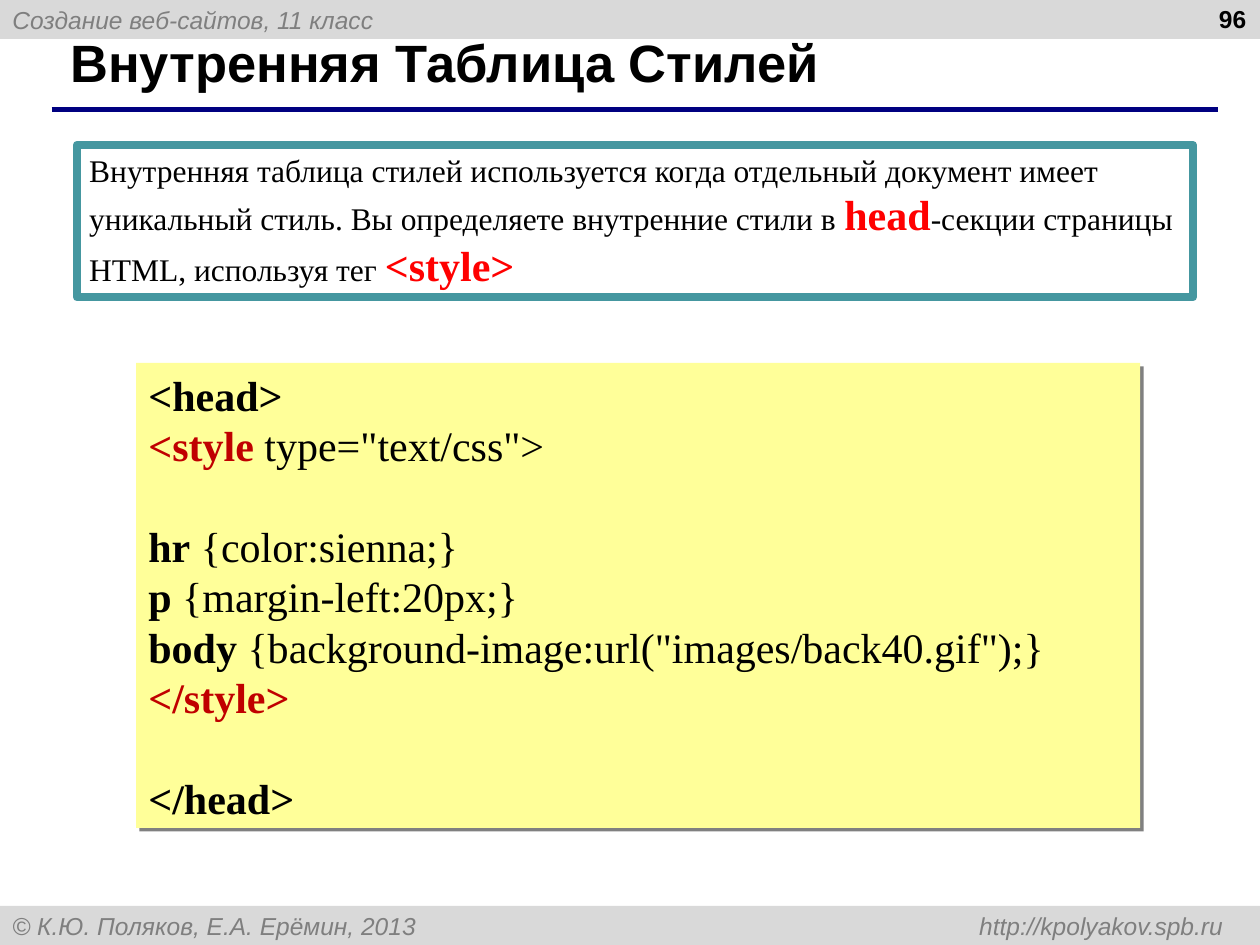
from lxml.etree import SubElement
from pptx import Presentation
from pptx.dml.color import RGBColor
from pptx.enum.shapes import MSO_CONNECTOR, MSO_SHAPE
from pptx.enum.text import MSO_ANCHOR, PP_ALIGN
from pptx.oxml.ns import qn
from pptx.util import Inches, Pt

COLORS = {
    "bar": "D9D9D9",
    "muted": "7F7F7F",
    "text": "000000",
    "rule": "000080",
    "frame": "4597A0",
    "code": "FFFF99",
    "shadow": "808080",
    "accent": "FF0000",
    "tag": "C00000",
}


def rgb(name):
    return RGBColor.from_string(COLORS[name])


class SlideBuilder:
    heading_font = "Arial"
    body_font = "Times New Roman"

    def __init__(self, slide):
        self.slide = slide

    def style(self, run, font, size, color="text", bold=False, italic=False):
        run.font.name = font
        run.font.size = Pt(size)
        run.font.color.rgb = rgb(color)
        run.font.bold = bold
        run.font.italic = italic

    def rectangle(self, left, top, width, height, fill=None, line=None):
        shape = self.slide.shapes.add_shape(
            MSO_SHAPE.RECTANGLE,
            Inches(left), Inches(top), Inches(width), Inches(height))
        shape.shadow.inherit = False
        if fill:
            shape.fill.solid()
            shape.fill.fore_color.rgb = rgb(fill)
        else:
            shape.fill.background()
        if line:
            shape.line.color.rgb = rgb(line)
            shape.line.width = Pt(4.5)
        else:
            shape.line.fill.background()
        shape.text_frame.word_wrap = True
        shape.text_frame.vertical_anchor = MSO_ANCHOR.TOP
        return shape

    def bar(self, top, text, tab=None):
        shape = self.rectangle(0, top, 10, 0.31, fill="bar")
        shape.text_frame.vertical_anchor = MSO_ANCHOR.MIDDLE
        paragraph = shape.text_frame.paragraphs[0]
        paragraph.text = text
        paragraph.alignment = PP_ALIGN.LEFT
        if tab:
            tabs = SubElement(paragraph._p.get_or_add_pPr(), qn("a:tabLst"))
            SubElement(tabs, qn("a:tab"), pos=str(Inches(tab)), algn="r")
        for run in paragraph.runs:
            self.style(run, self.heading_font, 14, "muted", italic=True)

    def label(self, left, top, width, height, text, size,
              alignment=PP_ALIGN.LEFT, anchor=MSO_ANCHOR.TOP):
        box = self.slide.shapes.add_textbox(
            Inches(left), Inches(top), Inches(width), Inches(height))
        box.text_frame.word_wrap = True
        box.text_frame.vertical_anchor = anchor
        paragraph = box.text_frame.paragraphs[0]
        paragraph.text = text
        paragraph.alignment = alignment
        self.style(paragraph.runs[0], self.heading_font, size, bold=True)

    def rule(self, left, right, top):
        connector = self.slide.shapes.add_connector(
            MSO_CONNECTOR.STRAIGHT,
            Inches(left), Inches(top), Inches(right), Inches(top))
        connector.line.color.rgb = rgb("rule")
        connector.line.width = Pt(3)
        SubElement(connector._element.spPr, qn("a:effectLst"))

    def drop_shadow(self, shape):
        effects = shape._element.spPr.find(qn("a:effectLst"))
        shadow = SubElement(effects, qn("a:outerShdw"), dist=str(Pt(2.8)),
                            dir="2700000", algn="ctr", rotWithShape="0")
        SubElement(shadow, qn("a:srgbClr"), val=COLORS["shadow"])

    def rich_lines(self, shape, lines):
        frame = shape.text_frame
        for index, (gap, parts) in enumerate(lines):
            paragraph = frame.add_paragraph() if index else frame.paragraphs[0]
            paragraph.alignment = PP_ALIGN.LEFT
            if gap:
                paragraph.space_before = Pt(gap)
            for text, size, color, bold in parts:
                run = paragraph.add_run()
                run.text = text
                self.style(run, self.body_font, size, color, bold)


def main():
    presentation = Presentation()
    presentation.slide_width = Inches(10)
    presentation.slide_height = Inches(7.5)
    slide = presentation.slides.add_slide(presentation.slide_layouts[6])
    builder = SlideBuilder(slide)

    builder.bar(0, "Создание веб-сайтов, 11 класс")
    builder.bar(7.19, "© К.Ю. Поляков, Е.А. Ерёмин, 2013 \thttp://kpolyakov.spb.ru",
                tab=9.61)
    builder.rule(0.41, 9.67, 0.87)
    builder.label(0.46, 0.23, 9.16, 0.52, "Внутренняя Таблица Стилей", 30,
                  anchor=MSO_ANCHOR.MIDDLE)
    builder.label(7.66, -0.02, 2.33, 0.52, "96", 14, PP_ALIGN.RIGHT)

    definition = builder.rectangle(0.61, 1.15, 8.86, 1.21, line="frame")
    builder.rich_lines(definition, [(0, [
        ("Внутренняя таблица стилей используется когда отдельный документ "
         "имеет уникальный стиль. Вы определяете внутренние стили в ",
         18, "text", False),
        ("head", 24, "accent", True),
        ("-секции страницы HTML, используя тег ", 18, "text", False),
        ("<style>", 24, "accent", True),
    ])])

    code = builder.rectangle(1.08, 2.88, 7.97, 3.69, fill="code")
    code.text_frame.margin_right = 0
    builder.drop_shadow(code)
    blank_line = 28.8
    code_lines = [
        (0, "<head>", "", "text"),
        (0, "<style", " type=\"text/css\">", "tag"),
        (blank_line, "hr", " {color:sienna;}", "text"),
        (0, "p", " {margin-left:20px;}", "text"),
        (0, "body", " {background-image:url(\"images/back40.gif\");}", "text"),
        (0, "</style>", "", "tag"),
        (blank_line, "</head>", "", "text"),
    ]
    builder.rich_lines(code, [
        (gap, [(text, 24, tint, bold)
               for text, tint, bold in ((keyword, color, True), (rest, "text", False))
               if text])
        for gap, keyword, rest, color in code_lines])

    presentation.save("out.pptx")


if __name__ == "__main__":
    main()
